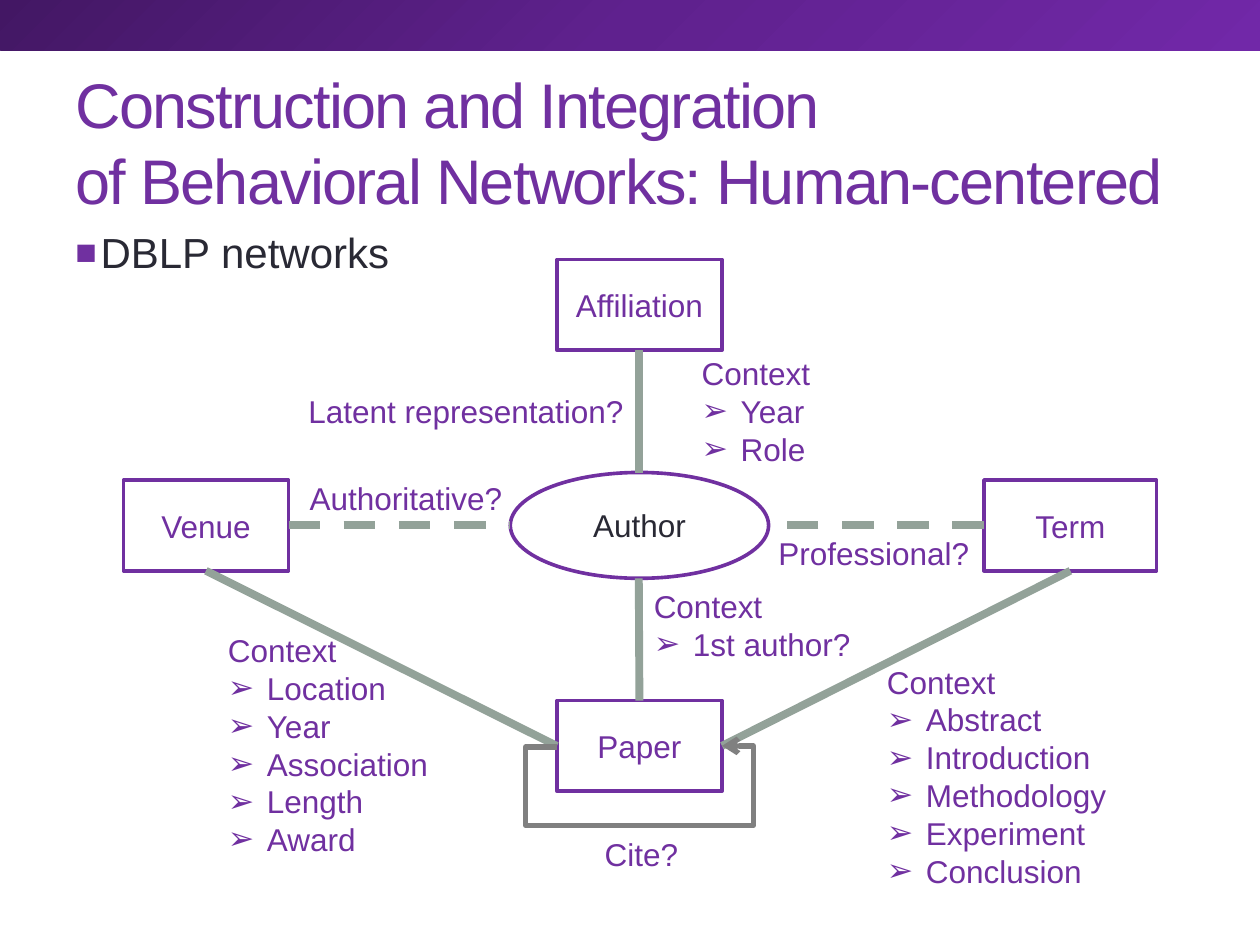
from dataclasses import dataclass

from lxml.etree import SubElement
from pptx import Presentation
from pptx.dml.color import RGBColor
from pptx.enum.dml import MSO_LINE
from pptx.enum.shapes import MSO_CONNECTOR, MSO_SHAPE
from pptx.enum.text import MSO_ANCHOR, MSO_AUTO_SIZE, PP_ALIGN
from pptx.oxml import parse_xml
from pptx.oxml.ns import nsdecls, qn
from pptx.util import Inches, Pt

PURPLE = RGBColor(0x70, 0x30, 0xA0)
DARK = RGBColor(0x29, 0x29, 0x34)
SAGE = RGBColor(0x93, 0xA2, 0x99)
GRAY = RGBColor(0x80, 0x80, 0x80)
BAND_STOPS = ((0, "431764"), (50, "5F218E"), (100, "7128A8"))
FONT = "Arial"
TOP, LEFT, BOTTOM, RIGHT = range(4)


@dataclass
class Node:
    name: str
    left: float
    top: float
    width: float = 1.31
    height: float = 0.72
    kind: MSO_SHAPE = MSO_SHAPE.RECTANGLE
    color: RGBColor = PURPLE


@dataclass
class Label:
    text: str
    left: float
    top: float
    width: float
    height: float = 0.4
    items: tuple[str, ...] = ()


@dataclass
class Link:
    """A straight line; each end is a point or a (node name, side) pair."""
    begin: tuple
    end: tuple
    dashed: bool = False


NODES = (
    Node("Author", 4.05, 3.75, 2.05, 0.84, MSO_SHAPE.OVAL, DARK),
    Node("Affiliation", 4.42, 2.06),
    Node("Venue", 0.98, 3.81),
    Node("Term", 7.81, 3.81, 1.37),
    Node("Paper", 4.42, 5.56),
)
LINKS = (
    Link(("Affiliation", BOTTOM), ("Author", TOP)),
    Link((5.07, 4.59), ("Paper", TOP)),
    Link(("Term", BOTTOM), ("Paper", RIGHT)),
    Link(("Venue", BOTTOM), ("Paper", LEFT)),
    Link(("Venue", RIGHT), (4.05, 4.17), dashed=True),
    Link(("Term", LEFT), (6.1, 4.17), dashed=True),
)
LABELS = (
    Label("Context", 1.71, 4.96, 1.81, 1.92,
          ("Location", "Year", "Association", "Length", "Award")),
    Label("Context", 5.47, 2.76, 1.08, 1.01, ("Year", "Role")),
    Label("Context", 6.94, 5.21, 1.96, 1.92,
          ("Abstract", "Introduction", "Methodology", "Experiment", "Conclusion")),
    Label("Context", 5.09, 4.61, 1.78, 0.71, ("1st author?",)),
    Label("Latent representation?", 2.35, 3.06, 2.73),
    Label("Authoritative?", 2.36, 3.75, 1.74),
    Label("Professional?", 6.08, 4.19, 1.73),
    Label("Cite?", 4.7, 6.58, 0.79),
)
CITE_LOOP = ((4.42, 5.93), (4.17, 5.93), (4.17, 6.55),
             (5.98, 6.55), (5.98, 5.92), (5.73, 5.92))


def write(paragraph, text: str, size=18, color=PURPLE, align=PP_ALIGN.LEFT, spacing=None):
    paragraph.text = text
    paragraph.alignment = align
    paragraph.line_spacing = Pt(size * 1.2)
    for run in paragraph.runs:
        run.font.name = FONT
        run.font.size = Pt(size)
        run.font.color.rgb = color
        if spacing is not None:
            run.font._element.set("spc", str(round(spacing * 100)))


def add_bullet(paragraph, character: str, indent: float, color=None, percent=None):
    properties = paragraph._p.get_or_add_pPr()
    properties.set("marL", str(Inches(indent)))
    properties.set("indent", str(-Inches(indent)))
    if color is not None:
        holder = SubElement(properties, qn("a:buClr"))
        SubElement(holder, qn("a:srgbClr"), val=str(color))
    if percent is not None:
        SubElement(properties, qn("a:buSzPct"), val=str(percent * 1000))
    SubElement(properties, qn("a:buFont"), typeface=FONT)
    SubElement(properties, qn("a:buChar"), char=character)


def add_band(slide):
    band = slide.shapes.add_shape(MSO_SHAPE.RECTANGLE, 0, 0, Inches(10), Inches(0.4))
    band.shadow.inherit = False
    band.fill.background()
    stops = "".join(f'<a:gs pos="{position * 1000}"><a:srgbClr val="{color}"/></a:gs>'
                    for position, color in BAND_STOPS)
    gradient = parse_xml(f'<a:gradFill {nsdecls("a")} rotWithShape="1"><a:gsLst>{stops}'
                         '</a:gsLst><a:lin ang="2700000" scaled="0"/></a:gradFill>')
    properties = band._element.spPr
    properties.replace(properties.find(qn("a:noFill")), gradient)
    band.line.fill.background()


def add_title(slide, text: str):
    title = slide.shapes.title
    title.left, title.top = Inches(0.5), Inches(0.58)
    title.width, title.height = Inches(9), Inches(1.08)
    frame = title.text_frame
    frame.auto_size = MSO_AUTO_SIZE.NONE
    frame.vertical_anchor = MSO_ANCHOR.MIDDLE
    write(frame.paragraphs[0], text, size=36, spacing=-1)


def add_body(slide, text: str):
    body = slide.shapes.add_textbox(Inches(0.5), Inches(1.75), Inches(9), Inches(5.33))
    body.text_frame.word_wrap = True
    paragraph = body.text_frame.paragraphs[0]
    write(paragraph, text, size=24, color=DARK)
    add_bullet(paragraph, "■", 0.2, PURPLE, 85)


def add_node(slide, node: Node):
    shape = slide.shapes.add_shape(node.kind, Inches(node.left), Inches(node.top),
                                   Inches(node.width), Inches(node.height))
    shape.shadow.inherit = False
    shape.fill.background()
    shape.line.color.rgb = PURPLE
    shape.line.width = Pt(2.08)
    frame = shape.text_frame
    frame.word_wrap = True
    frame.vertical_anchor = MSO_ANCHOR.MIDDLE
    write(frame.paragraphs[0], node.name, color=node.color, align=PP_ALIGN.CENTER)
    return shape


def add_link(slide, link: Link, shapes: dict):
    line = slide.shapes.add_connector(MSO_CONNECTOR.STRAIGHT, 0, 0, 0, 0)
    if link.begin[0] in shapes:
        line.begin_connect(shapes[link.begin[0]], link.begin[1])
    else:
        line.begin_x, line.begin_y = map(Inches, link.begin)
    if link.end[0] in shapes:
        line.end_connect(shapes[link.end[0]], link.end[1])
    else:
        line.end_x, line.end_y = map(Inches, link.end)
    line.line.color.rgb = SAGE
    line.line.width = Pt(4.5)
    if link.dashed:
        line.line.dash_style = MSO_LINE.DASH
    SubElement(line._element.spPr, qn("a:effectLst"))


def add_label(slide, label: Label):
    box = slide.shapes.add_textbox(Inches(label.left), Inches(label.top),
                                   Inches(label.width), Inches(label.height))
    frame = box.text_frame
    frame.word_wrap = False
    frame.auto_size = MSO_AUTO_SIZE.SHAPE_TO_FIT_TEXT
    write(frame.paragraphs[0], label.text)
    for item in label.items:
        paragraph = frame.add_paragraph()
        write(paragraph, item)
        add_bullet(paragraph, "➢", 0.31)


def add_cite_loop(slide):
    start, *rest = [(Inches(x), Inches(y)) for x, y in CITE_LOOP]
    builder = slide.shapes.build_freeform(*start)
    builder.add_line_segments(rest, close=False)
    loop = builder.convert_to_shape()
    loop.shadow.inherit = False
    loop.fill.background()
    loop.line.color.rgb = GRAY
    loop.line.width = Pt(3)
    outline = loop.line._get_or_add_ln()
    SubElement(outline, qn("a:round"))
    SubElement(outline, qn("a:tailEnd"), type="arrow")


def main():
    presentation = Presentation()
    presentation.slide_width, presentation.slide_height = Inches(10), Inches(7.5)
    slide = presentation.slides.add_slide(presentation.slide_layouts[5])
    add_band(slide)
    add_title(slide, "Construction and Integration\vof Behavioral Networks: Human-centered")
    add_body(slide, "DBLP networks")
    shapes = {node.name: add_node(slide, node) for node in NODES}
    for link in LINKS:
        add_link(slide, link, shapes)
    for label in LABELS:
        add_label(slide, label)
    add_cite_loop(slide)
    presentation.save("out.pptx")


if __name__ == "__main__":
    main()
